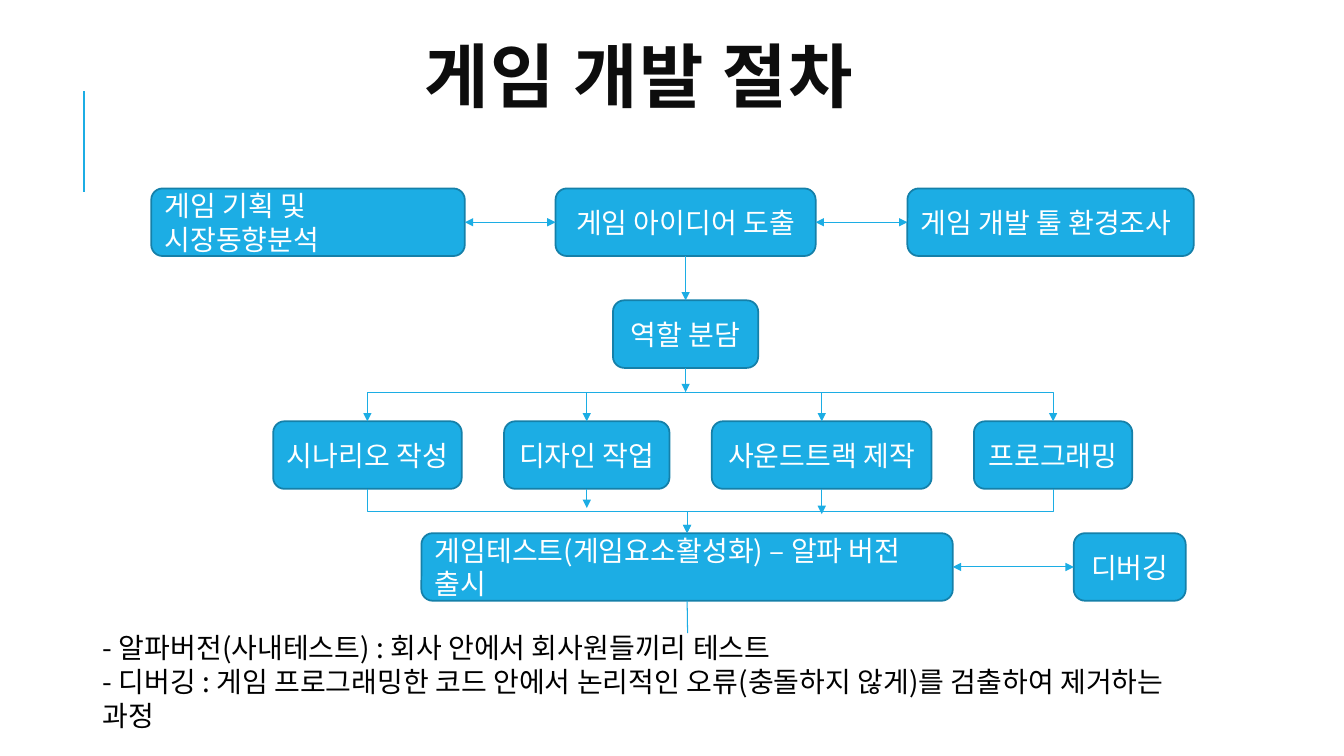
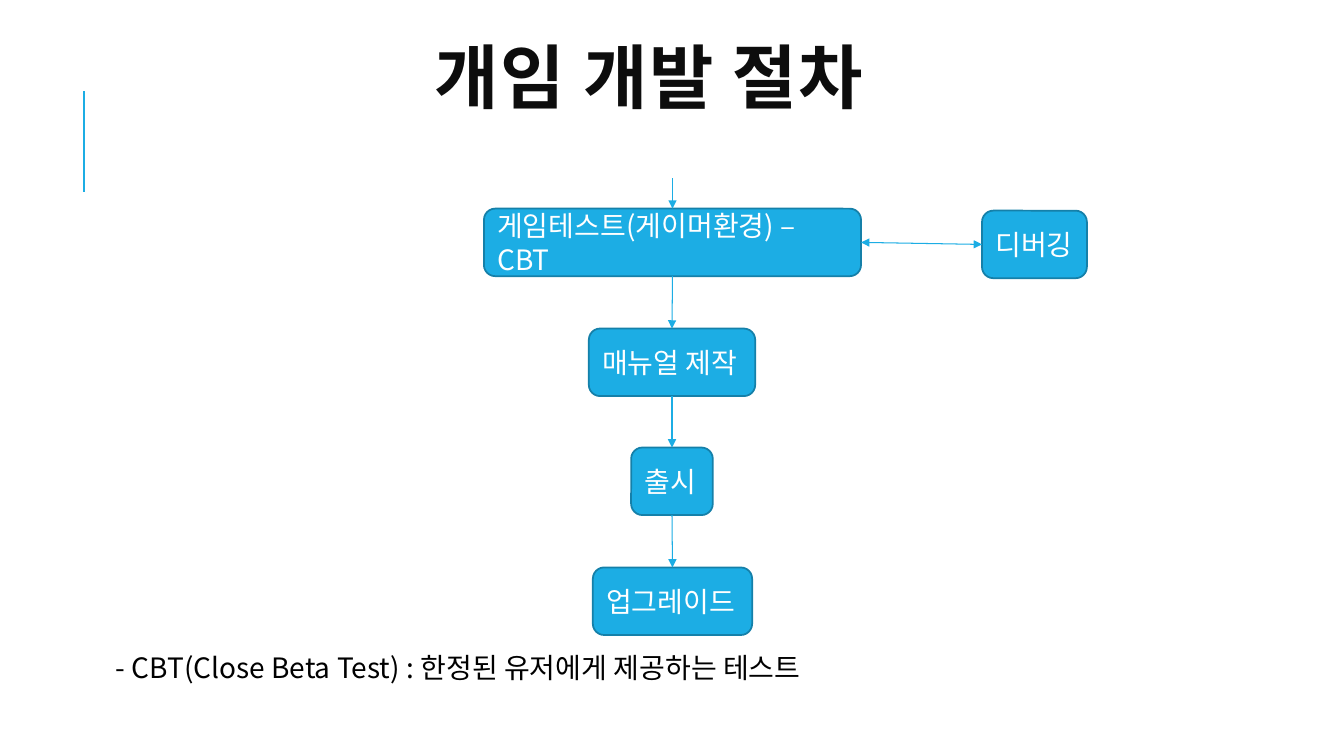
from dataclasses import dataclass
from typing import NamedTuple, Union

from lxml.etree import SubElement
from pptx import Presentation
from pptx.dml.color import RGBColor
from pptx.enum.shapes import MSO_CONNECTOR as Connector, MSO_SHAPE as Preset
from pptx.enum.text import MSO_ANCHOR as Anchor, MSO_AUTO_SIZE as AutoSize, PP_ALIGN as Align
from pptx.oxml.ns import qn
from pptx.util import Inches, Pt

# Shared style
ACCENT, BORDER, WHITE, BLACK, TITLE_COLOR = "1CADE4", "1580A9", "FFFFFF", "000000", "0D0D0D"
BODY_FONT, TITLE_FONT = "Noto Sans CJK KR", "Calibri"
BODY_SIZE, TITLE_SIZE = 20, 50
BOX_HEIGHT = 0.67
TOP, LEFT, BOTTOM, RIGHT = range(4)


class Point(NamedTuple):
    x: float
    y: float


class Port(NamedTuple):
    box: str
    side: int


End = Union[Point, Port]


@dataclass
class Box:
    name: str
    text: str
    left: float
    top: float
    width: float
    align: Align = Align.CENTER

    def port(self, side: int) -> Point:
        across = {LEFT: 0, RIGHT: 1}.get(side, 0.5)
        down = {TOP: 0, BOTTOM: 1}.get(side, 0.5)
        return Point(self.left + across * self.width, self.top + down * BOX_HEIGHT)


@dataclass
class Link:
    start: End
    end: End
    head: bool = False
    tail: bool = True
    bends: int = 0


@dataclass
class Note:
    left: float
    top: float
    width: float
    height: float
    lines: list[str]


@dataclass
class Page:
    title: str
    title_at: Point
    boxes: list[Box]
    links: list[Link]
    note: Note


def color(value: str) -> RGBColor:
    return RGBColor.from_string(value)


def add_run(paragraph, text: str, size: float, font: str, fill: str, bold: bool = False):
    run = paragraph.add_run()
    run.text = text
    run.font.size = Pt(size)
    run.font.name = font
    run.font.bold = bold
    run.font.color.rgb = color(fill)
    SubElement(run.font._element, qn("a:ea")).set("typeface", BODY_FONT)
    return run


def add_line(slide, kind: Connector, start: Point, end: Point, width: float,
             head: bool = False, tail: bool = False):
    connector = slide.shapes.add_connector(kind, *(Inches(v) for v in (*start, *end)))
    connector.line.color.rgb = color(ACCENT)
    connector.line.width = Pt(width)
    outline = connector.line._get_or_add_ln()
    for tag, shown in (("a:headEnd", head), ("a:tailEnd", tail)):
        if shown:
            SubElement(outline, qn(tag)).set("type", "triangle")
    SubElement(connector._element.spPr, qn("a:effectLst"))
    return connector


def turn_upright(connector, start: Point, end: Point) -> None:
    """Rotate a three-part elbow so that it leaves and arrives vertically."""
    width, height = abs(end.x - start.x), abs(end.y - start.y)
    connector.left = Inches((start.x + end.x - height) / 2)
    connector.top = Inches((start.y + end.y - width) / 2)
    connector.width, connector.height = Inches(height), Inches(width)
    rightward = end.x > start.x
    transform = connector._element.spPr.find(qn("a:xfrm"))
    transform.set("rot", str((270 if rightward else 90) * 60000))
    transform.set("flipH", "1" if rightward else "0")


def add_title(slide, text: str, at: Point) -> None:
    shape = slide.shapes.add_textbox(Inches(at.x), Inches(at.y), Inches(10.63), Inches(1.64))
    frame = shape.text_frame
    frame.word_wrap = True
    frame.vertical_anchor = Anchor.MIDDLE
    paragraph = frame.paragraphs[0]
    paragraph.alignment = Align.CENTER
    paragraph.line_spacing = 0.8
    run = add_run(paragraph, text, TITLE_SIZE, TITLE_FONT, TITLE_COLOR, bold=True)
    run.font._element.set("spc", "100")


def add_box(slide, box: Box):
    shape = slide.shapes.add_shape(Preset.ROUNDED_RECTANGLE, Inches(box.left), Inches(box.top),
                                   Inches(box.width), Inches(BOX_HEIGHT))
    shape.shadow.inherit = False
    shape.fill.solid()
    shape.fill.fore_color.rgb = color(ACCENT)
    shape.line.color.rgb = color(BORDER)
    shape.line.width = Pt(1.25)
    frame = shape.text_frame
    frame.word_wrap = True
    frame.vertical_anchor = Anchor.MIDDLE
    paragraph = frame.paragraphs[0]
    paragraph.alignment = box.align
    add_run(paragraph, box.text, BODY_SIZE, BODY_FONT, WHITE)
    return shape


def add_link(slide, link: Link, boxes: dict, shapes: dict) -> None:
    start, end = (boxes[e.box].port(e.side) if isinstance(e, Port) else e
                  for e in (link.start, link.end))
    kind = Connector.ELBOW if link.bends else Connector.STRAIGHT
    connector = add_line(slide, kind, start, end, 0.75, link.head, link.tail)
    if link.bends == 1:
        connector._element.spPr.find(qn("a:prstGeom")).set("prst", "bentConnector2")
    elif link.bends == 2:
        turn_upright(connector, start, end)
    else:
        if isinstance(link.start, Port):
            connector.begin_connect(shapes[link.start.box], link.start.side)
        if isinstance(link.end, Port):
            connector.end_connect(shapes[link.end.box], link.end.side)


def add_note(slide, note: Note) -> None:
    shape = slide.shapes.add_textbox(Inches(note.left), Inches(note.top),
                                     Inches(note.width), Inches(note.height))
    frame = shape.text_frame
    frame.word_wrap = True
    frame.auto_size = AutoSize.SHAPE_TO_FIT_TEXT
    for index, line in enumerate(note.lines):
        paragraph = frame.add_paragraph() if index else frame.paragraphs[0]
        add_run(paragraph, line, BODY_SIZE, BODY_FONT, BLACK)


def add_page(presentation, page: Page) -> None:
    slide = presentation.slides.add_slide(presentation.slide_layouts[6])
    add_line(slide, Connector.STRAIGHT, Point(0.83, 1.9), Point(0.83, 0.9), 1.5)
    add_title(slide, page.title, page.title_at)
    boxes = {box.name: box for box in page.boxes}
    shapes = {box.name: add_box(slide, box) for box in page.boxes}
    add_note(slide, page.note)
    for link in page.links:
        add_link(slide, link, boxes, shapes)


def both_ways(left_box: str, right_box: str) -> Link:
    return Link(Port(left_box, RIGHT), Port(right_box, LEFT), head=True)


def process_page() -> Page:
    row_1, row_2, row_3, row_4 = 1.87, 2.98, 4.18, 5.29
    split_y = 3.89
    boxes = [
        Box("idea", "게임 아이디어 도출", 5.51, row_1, 2.58),
        Box("tools", "게임 개발 툴 환경조사", 9, row_1, 2.84, Align.LEFT),
        Box("market", "게임 기획 및 시장동향분석", 1.5, row_1, 3.11, Align.LEFT),
        Box("roles", "역할 분담", 6.08, row_2, 1.44),
        Box("programming", "프로그래밍", 9.66, row_3, 1.57),
        Box("soundtrack", "사운드트랙 제작", 7.06, row_3, 2.18),
        Box("design", "디자인 작업", 5, row_3, 1.64),
        Box("scenario", "시나리오 작성", 2.71, row_3, 1.87),
        Box("debugging", "디버깅", 10.65, row_4, 1.11),
        Box("test", "게임테스트(게임요소활성화) – 알파 버전 출시", 4.18, row_4, 5.27, Align.LEFT),
    ]
    split = Point(6.8, split_y)
    links = [
        both_ways("market", "idea"),
        both_ways("idea", "tools"),
        both_ways("test", "debugging"),
        Link(Port("idea", BOTTOM), Port("roles", TOP)),
        Link(Port("roles", BOTTOM), split),
        Link(Port("test", BOTTOM), Point(6.82, 6.28), tail=False),
    ]
    # Outer tasks branch and merge through elbows
    for name in ("scenario", "programming"):
        links.append(Link(Point(5.8, split_y), Port(name, TOP), bends=1))
        links.append(Link(Port(name, BOTTOM), Port("test", TOP), bends=2))
    # Inner tasks drop straight from and to the branch lines
    for name, x, merge_y in (("design", 5.82, 5.04), ("soundtrack", 8.15, 5.1)):
        links.append(Link(Point(x, split_y), Port(name, TOP)))
        links.append(Link(Port(name, BOTTOM), Point(x, merge_y)))
    note = Note(0.92, 6.21, 10.85, 1.11, [
        "- 알파버전(사내테스트) : 회사 안에서 회사원들끼리 테스트",
        "- 디버깅 : 게임 프로그래밍한 코드 안에서 논리적인 오류(충돌하지 않게)를 검출하여 제거하는 과정",
    ])
    return Page("게임 개발 절차", Point(1.02, 0), boxes, links, note)


def release_page() -> Page:
    boxes = [
        Box("test", "게임테스트(게이머환경) – CBT", 4.8, 2.07, 3.74, Align.LEFT),
        Box("manual", "매뉴얼 제작", 5.84, 3.26, 1.65, Align.LEFT),
        Box("release", "출시", 6.26, 4.44, 0.81, Align.LEFT),
        Box("upgrade", "업그레이드", 5.88, 5.63, 1.58, Align.LEFT),
        Box("debugging", "디버깅", 9.74, 2.09, 1.04, Align.LEFT),
    ]
    steps = ["test", "manual", "release", "upgrade"]
    links = [Link(Point(6.67, 1.77), Port("test", TOP)), both_ways("test", "debugging")]
    links += [Link(Port(a, BOTTOM), Port(b, TOP)) for a, b in zip(steps, steps[1:])]
    note = Note(1.05, 6.4, 10.18, 0.44,
                ["- CBT(Close Beta Test) : 한정된 유저에게 제공하는 테스트"])
    return Page("개임 개발 절차", Point(1.12, 0.01), boxes, links, note)


def main() -> None:
    presentation = Presentation()
    presentation.slide_width = Inches(13.33)
    presentation.slide_height = Inches(7.5)
    for page in (process_page(), release_page()):
        add_page(presentation, page)
    presentation.save("out.pptx")


if __name__ == "__main__":
    main()
